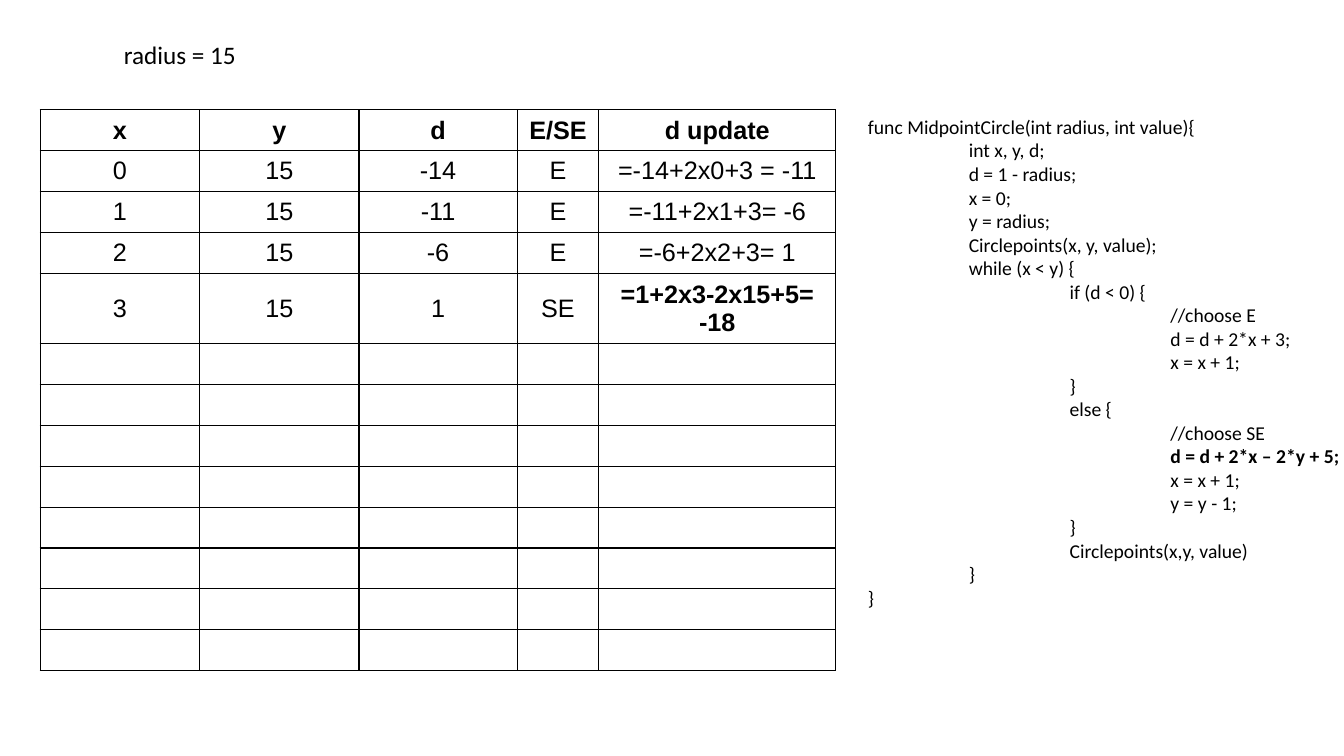
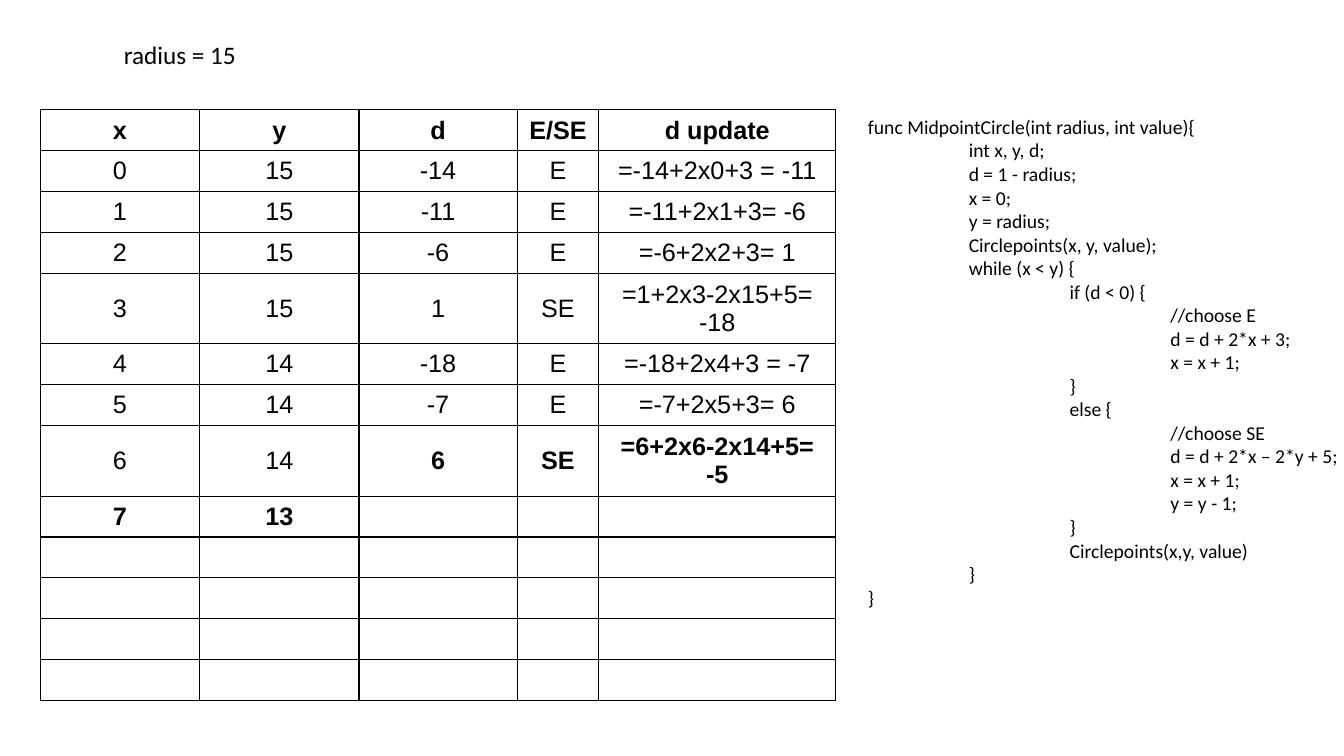
from lxml import etree
from pptx import Presentation
from pptx import util as u
from pptx.dml.color import RGBColor
from pptx.enum import text
from pptx.oxml.ns import qn

COLORS = {"ink": "000000"}
CODE_FONT, TABLE_FONT = "Calibri", "Arial"

HEADING = "radius = 15"
HEADER = ("x", "y", "d", "E/SE", "d update")
STEPS = [
    ("0", "15", "-14", "E", "=-14+2x0+3 = -11"),
    ("1", "15", "-11", "E", "=-11+2x1+3= -6"),
    ("2", "15", "-6", "E", "=-6+2x2+3= 1"),
    ("3", "15", "1", "SE", "=1+2x3-2x15+5= -18"),
    ("4", "14", "-18", "E", "=-18+2x4+3 = -7"),
    ("5", "14", "-7", "E", "=-7+2x5+3= 6"),
    ("6", "14", "6", "SE", "=6+2x6-2x14+5= -5"),
    ("7", "13"),
]
SE_UPDATE = "d = d + 2*x – 2*y + 5;"
CODE = [
    (0, "func MidpointCircle(int radius, int value){"),
    (1, "int x, y, d;"),
    (1, "d = 1 - radius;"),
    (1, "x = 0;"),
    (1, "y = radius;"),
    (1, "Circlepoints(x, y, value);"),
    (1, "while (x < y) {"),
    (2, "if (d < 0) {"),
    (3, "//choose E"),
    (3, "d = d + 2*x + 3;"),
    (3, "x = x + 1;"),
    (2, "}"),
    (2, "else {"),
    (3, "//choose SE"),
    (3, SE_UPDATE),
    (3, "x = x + 1;"),
    (3, "y = y - 1;"),
    (2, "}"),
    (2, "Circlepoints(x,y, value)"),
    (1, "}"),
    (0, "}"),
]
SLIDES = [
    {"steps": 4, "bold_cells": {(4, 4)}, "bold_code": SE_UPDATE},
    {"steps": 8, "bold_cells": {(7, 2), (7, 3), (7, 4), (8, 0), (8, 1)}, "bold_code": None},
]

COLUMN_WIDTHS = (1.58, 1.58, 1.57, 0.81, 2.35)
ROW_COUNT, TABLE_HEIGHT = 13, 5.27
TABLE_LEFT, CONTENT_TOP = 0.4, 1.09
TAB_WIDTH = u.Inches(1)


def style(paragraph, font_name, size, bold=False):
    font = paragraph.font
    font.name, font.size, font.bold = font_name, u.Pt(size), bold
    font.color.rgb = RGBColor.from_string(COLORS["ink"])


def add_lines(slide, lines, place, size, wrap, bold_line=None):
    box = slide.shapes.add_textbox(*map(u.Inches, place))
    frame = box.text_frame
    frame.word_wrap = wrap
    frame.auto_size = text.MSO_AUTO_SIZE.SHAPE_TO_FIT_TEXT
    frame.text = "\n".join("\t" * depth + line for depth, line in lines)
    for paragraph, (depth, line) in zip(frame.paragraphs, lines):
        if depth:
            properties = paragraph._p.get_or_add_pPr()
            properties.set("defTabSz", str(TAB_WIDTH))
            stops = etree.SubElement(properties, qn("a:tabLst"))
            for stop in range(1, depth + 1):
                etree.SubElement(stops, qn("a:tab"), pos=str(stop * TAB_WIDTH), algn="l")
        style(paragraph, CODE_FONT, size, line == bold_line)


def add_borders(cell):
    properties = cell._tc.get_or_add_tcPr()
    for side in ("a:lnL", "a:lnR", "a:lnT", "a:lnB"):
        border = etree.SubElement(properties, qn(side), w=str(u.Pt(1)))
        fill = etree.SubElement(border, qn("a:solidFill"))
        etree.SubElement(fill, qn("a:srgbClr"), val=COLORS["ink"])


def add_trace(slide, steps, bold_cells):
    rows = [HEADER] + steps
    table = slide.shapes.add_table(
        ROW_COUNT, len(HEADER), u.Inches(TABLE_LEFT), u.Inches(CONTENT_TOP),
        u.Inches(sum(COLUMN_WIDTHS)), u.Inches(TABLE_HEIGHT)).table
    table.first_row = table.horz_banding = False
    for column, width in zip(table.columns, COLUMN_WIDTHS):
        column.width = u.Inches(width)
    for r, row in enumerate(table.rows):
        row.height = u.Inches(TABLE_HEIGHT / ROW_COUNT)
        values = rows[r] if r < len(rows) else ()
        for c, cell in enumerate(row.cells):
            add_borders(cell)
            cell.fill.background()
            cell.vertical_anchor = text.MSO_ANCHOR.MIDDLE
            paragraph = cell.text_frame.paragraphs[0]
            if c < len(values):
                paragraph.text = values[c]
            paragraph.alignment = text.PP_ALIGN.CENTER
            style(paragraph, TABLE_FONT, 18, r == 0 or (r, c) in bold_cells)


def main():
    deck = Presentation()
    deck.slide_width, deck.slide_height = u.Inches(13.33), u.Inches(7.5)
    blank = deck.slide_layouts[6]
    for content in SLIDES:
        slide = deck.slides.add_slide(blank)
        add_lines(slide, CODE, (8.51, CONTENT_TOP, 5.12, 5.28), 14, True, content["bold_code"])
        add_trace(slide, STEPS[:content["steps"]], content["bold_cells"])
        add_lines(slide, [(0, HEADING)], (1.13, 0.34, 1.33, 0.4), 18, False)
    deck.save("out.pptx")


if __name__ == "__main__":
    main()
